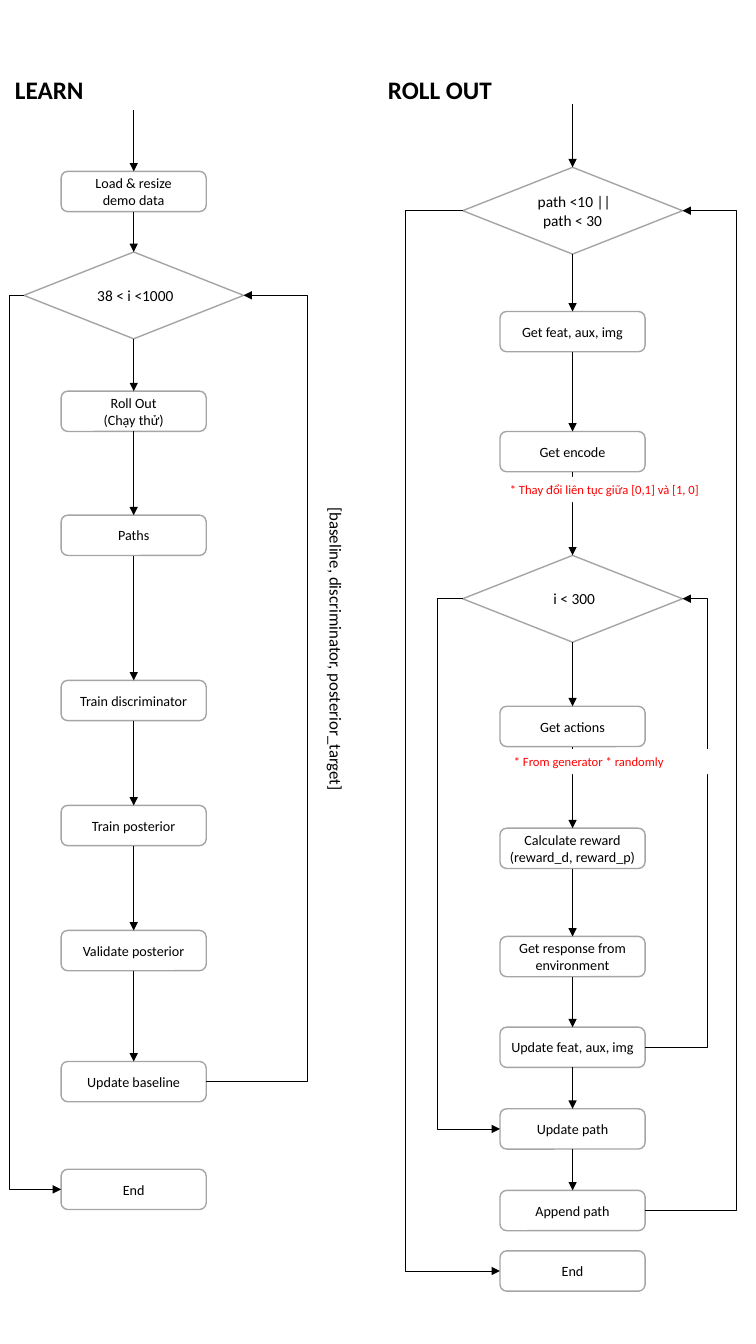
from dataclasses import dataclass
from itertools import pairwise

from lxml import etree
from pptx import Presentation
from pptx.dml.color import RGBColor
from pptx.enum.shapes import MSO_CONNECTOR, MSO_SHAPE
from pptx.enum.text import MSO_ANCHOR, PP_ALIGN
from pptx.oxml.ns import qn
from pptx.util import Pt

STRAIGHT, ELBOW = MSO_CONNECTOR.STRAIGHT, MSO_CONNECTOR.ELBOW
STEP, DECISION = MSO_SHAPE.ROUNDED_RECTANGLE, MSO_SHAPE.DIAMOND
MIDDLE, TOP_ANCHOR = MSO_ANCHOR.MIDDLE, MSO_ANCHOR.TOP
LEFT_ALIGN, CENTER = PP_ALIGN.LEFT, PP_ALIGN.CENTER
TOP, LEFT, BOTTOM, RIGHT = range(4)


@dataclass(frozen=True)
class Theme:
    font: str = "Calibri"
    ink: RGBColor = RGBColor(0, 0, 0)
    paper: RGBColor = RGBColor(255, 255, 255)
    outline: RGBColor = RGBColor(0xA5, 0xA5, 0xA5)
    remark: RGBColor = RGBColor(255, 0, 0)
    title_size: float = 18
    caption_size: float = 12
    decision_size: float = 11
    step_size: float = 10.1
    remark_size: float = 9


THEME = Theme()
NODE_SIZES = {STEP: (103.7, 28.8), DECISION: (157, 62)}
LEARN_AXIS, ROLL_OUT_AXIS = 95.5, 409

LEARN_NODES = [
    (STEP, 122.4, "Load & resize\ndemo data"),
    (DECISION, 180, " 38 < i <1000"),
    (STEP, 279.4, "Roll Out\n(Chạy thử)"),
    (STEP, 368, "Paths"),
    (STEP, 486, "Train discriminator"),
    (STEP, 575.3, "Train posterior"),
    (STEP, 664.6, "Validate posterior"),
    (STEP, 758.2, "Update baseline"),
]
ROLL_OUT_NODES = [
    (DECISION, 119.5, " path <10 || path < 30"),
    (STEP, 222.5, "Get feat, aux, img"),
    (STEP, 308.2, "Get encode"),
    (DECISION, 396.7, " i < 300"),
    (STEP, 504.5, "Get actions"),
    (STEP, 591.6, "Calculate reward\n(reward_d, reward_p)"),
    (STEP, 668.9, "Get response from environment"),
    (STEP, 733.7, "Update feat, aux, img"),
    (STEP, 792, "Update path"),
    (STEP, 850.3, "Append path"),
]


def write(frame, text, size, color, align, anchor, bold=False):
    frame.word_wrap = True
    frame.vertical_anchor = anchor
    para = frame.paragraphs[0]
    para.alignment = align
    for number, line in enumerate(text.split("\n")):
        if number:
            para.add_line_break()
        span = para.add_run()
        span.text = line
        span.font.name = THEME.font
        span.font.size = Pt(size)
        span.font.bold = bold
        span.font.color.rgb = color


def add_node(page, kind, axis, top, text):
    """Add a step or decision centred on the vertical axis of its column."""
    width, height = NODE_SIZES[kind]
    node = page.shapes.add_shape(
        kind, Pt(axis - width / 2), Pt(top), Pt(width), Pt(height))
    node.shadow.inherit = False
    node.fill.solid()
    node.fill.fore_color.rgb = THEME.paper
    node.line.color.rgb = THEME.outline
    node.line.width = Pt(1)
    frame = node.text_frame
    size = THEME.decision_size
    if kind == STEP:
        size = THEME.step_size
        frame.margin_left = frame.margin_right = Pt(4.4)
        frame.margin_top = frame.margin_bottom = Pt(2.2)
    write(frame, text, size, THEME.ink, CENTER, MIDDLE)
    return node


def add_label(page, left, top, width, height, text, size, color, bold=False):
    label = page.shapes.add_textbox(Pt(left), Pt(top), Pt(width), Pt(height))
    write(label.text_frame, text, size, color, LEFT_ALIGN, TOP_ANCHOR, bold)
    return label


def add_title(page, left, text):
    add_label(page, left, 49.7, 183, 29, text, THEME.title_size, THEME.ink, True)


def add_remark(page, left, top, text):
    """Add a red remark whose white ground interrupts the arrow behind it."""
    label = add_label(page, left, top, 158.4, 18, text, THEME.remark_size, THEME.remark)
    label.fill.solid()
    label.fill.fore_color.rgb = THEME.paper


def add_arrow(page, kind, x=0, y=0):
    arrow = page.shapes.add_connector(kind, Pt(x), Pt(y), Pt(x), Pt(y))
    arrow.line.color.rgb = THEME.ink
    arrow.line.width = Pt(0.5)
    properties = arrow._element.spPr
    etree.SubElement(properties.find(qn("a:ln")), qn("a:tailEnd"), type="triangle")
    etree.SubElement(properties, qn("a:effectLst"))
    return arrow


def add_entry(page, axis, top, node):
    add_arrow(page, STRAIGHT, axis, top).end_connect(node, TOP)


def add_detour(page, start, end, side, lane):
    """Join the same side of two nodes by way of a vertical lane."""
    arrow = add_arrow(page, ELBOW)
    arrow.begin_connect(start, side)
    arrow.end_connect(end, side)
    share = (Pt(lane) - arrow.begin_x) / (arrow.end_x - arrow.begin_x)
    guides = arrow._element.spPr.find(qn("a:prstGeom")).find(qn("a:avLst"))
    etree.SubElement(guides, qn("a:gd"), name="adj1", fmla=f"val {round(share * 100000)}")


def add_column(page, axis, nodes):
    """Stack the nodes and link each to the next with an arrow."""
    column = [add_node(page, kind, axis, top, text) for kind, top, text in nodes]
    for upper, lower in pairwise(column):
        arrow = add_arrow(page, STRAIGHT)
        arrow.begin_connect(upper, BOTTOM)
        arrow.end_connect(lower, TOP)
    return column


def add_learn(page):
    add_title(page, 3.6, "LEARN")
    column = add_column(page, LEARN_AXIS, LEARN_NODES)
    load, epoch_check, update_baseline = column[0], column[1], column[-1]
    end = add_node(page, STEP, LEARN_AXIS, 835.2, "End")
    add_entry(page, LEARN_AXIS, 78.5, load)
    add_detour(page, update_baseline, epoch_check, RIGHT, 219.6)
    add_detour(page, epoch_check, end, LEFT, 6.5)
    caption = add_label(page, 80.6, 504, 319, 21.6,
                        "[baseline, discriminator, posterior_target]",
                        THEME.caption_size, THEME.ink)
    caption.rotation = 90


def add_roll_out(page):
    add_title(page, 270, "ROLL OUT")
    column = add_column(page, ROLL_OUT_AXIS, ROLL_OUT_NODES)
    path_check, index_check = column[0], column[3]
    update_feat, update_path, append_path = column[-3:]
    end = add_node(page, STEP, ROLL_OUT_AXIS, 893.5, "End")
    add_entry(page, ROLL_OUT_AXIS, 74.2, path_check)
    add_detour(page, update_feat, index_check, RIGHT, 505.4)
    add_detour(page, append_path, path_check, RIGHT, 526.3)
    add_detour(page, path_check, end, LEFT, 289.4)
    add_detour(page, index_check, update_path, LEFT, 312.5)
    add_remark(page, 357.1, 340.6, "* Thay đổi liên tục giữa [0,1] và [1, 0]")
    add_remark(page, 360, 535, "* From generator * randomly")


def main():
    deck = Presentation()
    deck.slide_width, deck.slide_height = Pt(540), Pt(960)
    page = deck.slides.add_slide(deck.slide_layouts[6])
    add_learn(page)
    add_roll_out(page)
    deck.save("out.pptx")


if __name__ == "__main__":
    main()
